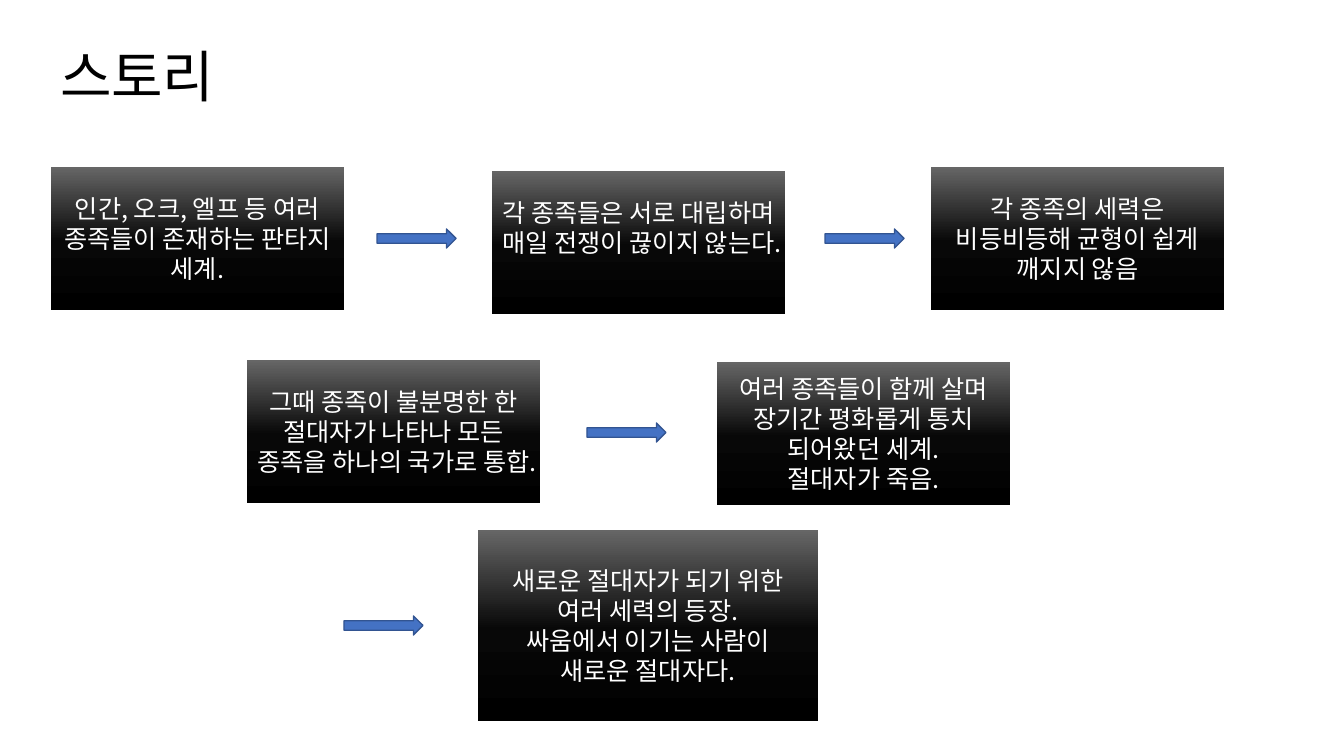
from copy import deepcopy

from lxml import etree
from pptx import Presentation
from pptx.dml.color import RGBColor
from pptx.enum.shapes import MSO_SHAPE
from pptx.enum.text import MSO_ANCHOR, MSO_AUTO_SIZE, PP_ALIGN
from pptx.oxml.ns import qn
from pptx.util import Emu, Pt

RECTANGLE, RIGHT_ARROW = MSO_SHAPE.RECTANGLE, MSO_SHAPE.RIGHT_ARROW
LEFT, CENTER = PP_ALIGN.LEFT, PP_ALIGN.CENTER
TOP, MIDDLE = MSO_ANCHOR.TOP, MSO_ANCHOR.MIDDLE
GROW = MSO_AUTO_SIZE.SHAPE_TO_FIT_TEXT

FONT = "Noto Sans CJK KR"
BLACK = RGBColor(0x00, 0x00, 0x00)
NEAR_BLACK = RGBColor(0x08, 0x08, 0x08)
GRAY = RGBColor(0x66, 0x66, 0x66)
WHITE = RGBColor(0xFF, 0xFF, 0xFF)
BLUE = RGBColor(0x44, 0x72, 0xC4)
DARK_BLUE = RGBColor(0x32, 0x54, 0x91)
SHADES = [(0, BLACK), (0.48, NEAR_BLACK), (1, GRAY)]

# Content: lengths in pixels
TITLE = "스토리"
TITLE_PLACE = (50, 36, 190, 78)
CARD = (293, 143)
FINALE = (340, 191)
ARROW = (79, 19)
INSET = 5
LINE_HEIGHT = 30

# left, top, size, free lines below the text, paragraphs
STORY = [
    (51, 167, CARD, 0, ["인간, 오크, 엘프 등 여러 종족들이 존재하는 판타지 세계."]),
    (492, 171, CARD, 1, ["각 종족들은 서로 대립하며 매일 전쟁이 끊이지 않는다."]),
    (931, 167, CARD, 0, ["각 종족의 세력은 비등비등해 균형이 쉽게 깨지지 않음"]),
    (247, 360, CARD, 0, ["그때 종족이 불분명한 한 절대자가 나타나 모든 종족을 하나의 국가로 통합."]),
    (717, 362, CARD, 0, ["여러 종족들이 함께 살며 장기간 평화롭게 통치 되어왔던 세계.",
                         "절대자가 죽음."]),
    (478, 530, FINALE, 0, ["새로운 절대자가 되기 위한", "여러 세력의 등장.",
                           "싸움에서 이기는 사람이", "새로운 절대자다."]),
]
ARROWS = [(377, 229), (825, 229), (587, 423), (344, 616)]


def px(pixels):
    return Emu(round(pixels * 914400 / 100.8))


def add_span(para, text, size, color, align):
    para.alignment = align
    span = para.add_run()
    span.text = text
    span.font.size = Pt(size)
    span.font.color.rgb = color
    span.font.name = FONT
    etree.SubElement(span.font._element, qn("a:ea"), typeface=FONT)


def add_box(page, kind, left, top, size):
    box = page.shapes.add_shape(kind, px(left), px(top), *map(px, size))
    box.shadow.inherit = False
    return box


def shade(box):
    box.fill.gradient()
    box.fill.gradient_angle = 90
    stop_list = box.element.find(".//" + qn("a:gsLst"))
    stop_list.append(deepcopy(stop_list[-1]))
    for stop, (position, color) in zip(box.fill.gradient_stops, SHADES):
        stop.position = position
        stop.color.rgb = color


deck = Presentation()
deck.slide_width, deck.slide_height = px(1344), px(756)
page = deck.slides.add_slide(deck.slide_layouts[5])

# Title
title = page.shapes.title
title.left, title.top, title.width, title.height = map(px, TITLE_PLACE)
frame = title.text_frame
frame.word_wrap = False
frame.auto_size = GROW
frame.vertical_anchor = TOP
add_span(frame.paragraphs[0], TITLE, 40, BLACK, LEFT)

# Story cards
for left, top, size, free_lines, paragraphs in STORY:
    card = add_box(page, RECTANGLE, left, top, size)
    shade(card)
    card.line.fill.background()
    frame = card.text_frame
    frame.word_wrap = True
    frame.vertical_anchor = MIDDLE
    frame.margin_bottom = px(INSET + free_lines * LINE_HEIGHT)
    for index, text in enumerate(paragraphs):
        para = frame.add_paragraph() if index else frame.paragraphs[0]
        add_span(para, text, 18, WHITE, CENTER)

# Arrows between the cards
for left, top in ARROWS:
    arrow = add_box(page, RIGHT_ARROW, left, top, ARROW)
    arrow.fill.solid()
    arrow.fill.fore_color.rgb = BLUE
    arrow.line.color.rgb = DARK_BLUE
    arrow.line.width = Pt(1)

deck.save("out.pptx")
